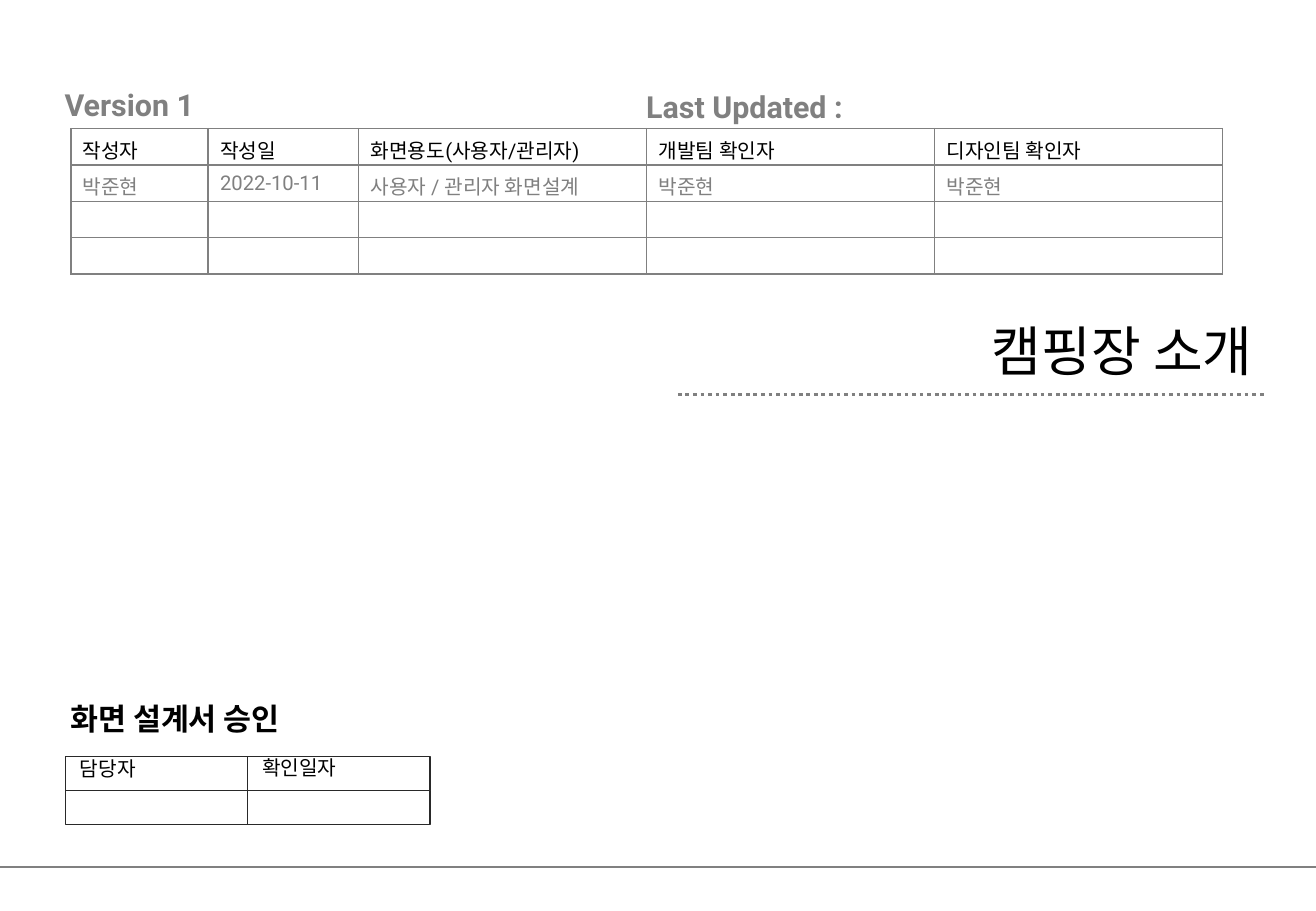
from dataclasses import dataclass
from itertools import product

from lxml.etree import SubElement
from pptx import Presentation
from pptx.dml.color import RGBColor
from pptx.enum.dml import MSO_LINE_DASH_STYLE as Dash
from pptx.enum.shapes import MSO_CONNECTOR as Connector, MSO_SHAPE as Preset
from pptx.enum.text import MSO_ANCHOR as Anchor, PP_ALIGN as Align
from pptx.oxml.ns import qn
from pptx.util import Cm, Pt

COLORS = {"gray": "808080", "black": "000000", "ink": "292929"}
LATIN, KOREAN = "Roboto", "Noto Sans CJK KR"


@dataclass(frozen=True)
class TextStyle:
    size: float
    color: str
    bold: bool = False
    font: str = LATIN


@dataclass(frozen=True)
class Label:
    text: str
    left: float
    top: float
    width: float
    height: float
    style: TextStyle
    align: Align = Align.LEFT
    margin_top: float = 0.13
    wrap: bool = True


@dataclass(frozen=True)
class Rule:
    left: float
    right: float
    y: float
    weight: float
    dash: Dash = Dash.SOLID


@dataclass(frozen=True)
class VersionTable:
    left: float
    top: float
    columns: tuple[float, ...]
    row_height: float
    rows: tuple[tuple[str, ...], ...]
    row_styles: tuple[TextStyle, ...]


@dataclass(frozen=True)
class ApprovalBoxes:
    left: float
    top: float
    width: float
    height: float
    columns: int
    rows: int


HEADING = TextStyle(18, "gray", bold=True)
APPROVAL_HEADING = TextStyle(18, "black", bold=True)
TITLE = TextStyle(32, "black", font=KOREAN)
HEADER = TextStyle(12, "black")
ENTRY = TextStyle(12, "gray")
APPROVAL = TextStyle(12, "black", font=KOREAN)

RULES = (
    Rule(0, 27.51, 18.13, 0.75),
    Rule(14.17, 26.47, 8.25, 2.25, Dash.ROUND_DOT),
)
LABELS = (
    Label("캠핑장 소개", 1.98, 6.64, 24.46, 1.63, TITLE, Align.RIGHT, 0),
    Label("Version 1", 1.1, 1.68, 4.3, 1.02, HEADING),
    Label("Last Updated :", 13.26, 1.71, 12.29, 1.02, HEADING),
    Label("화면 설계서 승인", 1.22, 14.51, 5.38, 1.02, APPROVAL_HEADING),
    Label("담당자", 1.42, 15.69, 1.78, 0.76, APPROVAL, wrap=False),
    Label("확인일자", 5.23, 15.67, 2.18, 0.76, APPROVAL, wrap=False),
)
VERSIONS = VersionTable(
    1.48, 2.69, (2.87, 3.15, 6.02, 6.02, 6.02), 0.76,
    (
        ("작성자", "작성일", "화면용도(사용자/관리자)", "개발팀 확인자", "디자인팀 확인자"),
        ("박준현", "2022-10-11", "사용자 / 관리자 화면설계", "박준현", "박준현"),
        ("",) * 5,
        ("",) * 5,
    ),
    (HEADER, ENTRY, ENTRY, ENTRY),
)
APPROVALS = ApprovalBoxes(1.37, 15.82, 3.81, 0.71, columns=2, rows=2)


def rgb(name: str) -> RGBColor:
    return RGBColor.from_string(COLORS[name])


def set_attributes(target, values: dict) -> None:
    for name, value in values.items():
        setattr(target, name, value)


def write(paragraph, text: str, style: TextStyle) -> None:
    """Fill a paragraph; an empty one only gets its line size."""
    if not text:
        SubElement(paragraph._p, qn("a:endParaRPr"), sz=str(int(style.size * 100)))
        return
    run = paragraph.add_run()
    run.text = text
    set_attributes(run.font, {"size": Pt(style.size), "bold": style.bold, "name": style.font})
    run.font.color.rgb = rgb(style.color)
    SubElement(run._r.get_or_add_rPr(), qn("a:ea"), typeface=KOREAN)


def add_label(slide, label: Label) -> None:
    box = slide.shapes.add_textbox(
        Cm(label.left), Cm(label.top), Cm(label.width), Cm(label.height))
    set_attributes(box.text_frame, {
        "word_wrap": label.wrap, "vertical_anchor": Anchor.TOP,
        "margin_left": Cm(0.25), "margin_right": Cm(0.25),
        "margin_top": Cm(label.margin_top), "margin_bottom": Cm(0),
    })
    paragraph = box.text_frame.paragraphs[0]
    paragraph.alignment = label.align
    write(paragraph, label.text, label.style)


def add_rule(slide, rule: Rule) -> None:
    connector = slide.shapes.add_connector(
        Connector.STRAIGHT, Cm(rule.left), Cm(rule.y), Cm(rule.right), Cm(rule.y))
    connector.line.color.rgb = rgb("gray")
    set_attributes(connector.line, {"width": Pt(rule.weight), "dash_style": rule.dash})
    SubElement(connector._element.spPr, qn("a:effectLst"))


def add_borders(cell) -> None:
    properties = cell._tc.get_or_add_tcPr()
    for position, side in enumerate(("lnL", "lnR", "lnT", "lnB")):
        line = SubElement(properties, qn(f"a:{side}"), w=str(Pt(1)))
        fill = SubElement(line, qn("a:solidFill"))
        SubElement(fill, qn("a:srgbClr"), val=COLORS["gray"])
        properties.insert(position, line)


def add_version_table(slide, versions: VersionTable) -> None:
    table = slide.shapes.add_table(
        len(versions.rows), len(versions.columns), Cm(versions.left), Cm(versions.top),
        Cm(sum(versions.columns)), Cm(versions.row_height * len(versions.rows))).table
    set_attributes(table, {"first_row": False, "horz_banding": False})
    for column, width in zip(table.columns, versions.columns):
        column.width = Cm(width)
    for row, texts, style in zip(table.rows, versions.rows, versions.row_styles):
        row.height = Cm(versions.row_height)
        for cell, text in zip(row.cells, texts):
            set_attributes(cell, {
                "margin_left": Cm(0.25), "margin_right": Cm(0.25),
                "margin_top": Cm(0.13), "margin_bottom": Cm(0),
                "vertical_anchor": Anchor.TOP,
            })
            cell.fill.background()
            add_borders(cell)
            write(cell.text_frame.paragraphs[0], text, style)


def add_approval_boxes(slide, boxes: ApprovalBoxes) -> None:
    for row, column in product(range(boxes.rows), range(boxes.columns)):
        shape = slide.shapes.add_shape(
            Preset.RECTANGLE, Cm(boxes.left + column * boxes.width),
            Cm(boxes.top + row * boxes.height), Cm(boxes.width), Cm(boxes.height))
        shape.shadow.inherit = False
        shape.fill.background()
        shape.line.color.rgb = rgb("ink")
        shape.line.width = Pt(0.75)


def main() -> None:
    presentation = Presentation()
    set_attributes(presentation, {"slide_width": Cm(27.51), "slide_height": Cm(19.05)})
    slide = presentation.slides.add_slide(presentation.slide_layouts[6])
    for rule in RULES:
        add_rule(slide, rule)
    add_version_table(slide, VERSIONS)
    add_approval_boxes(slide, APPROVALS)
    for label in LABELS:
        add_label(slide, label)
    presentation.save("out.pptx")


if __name__ == "__main__":
    main()
